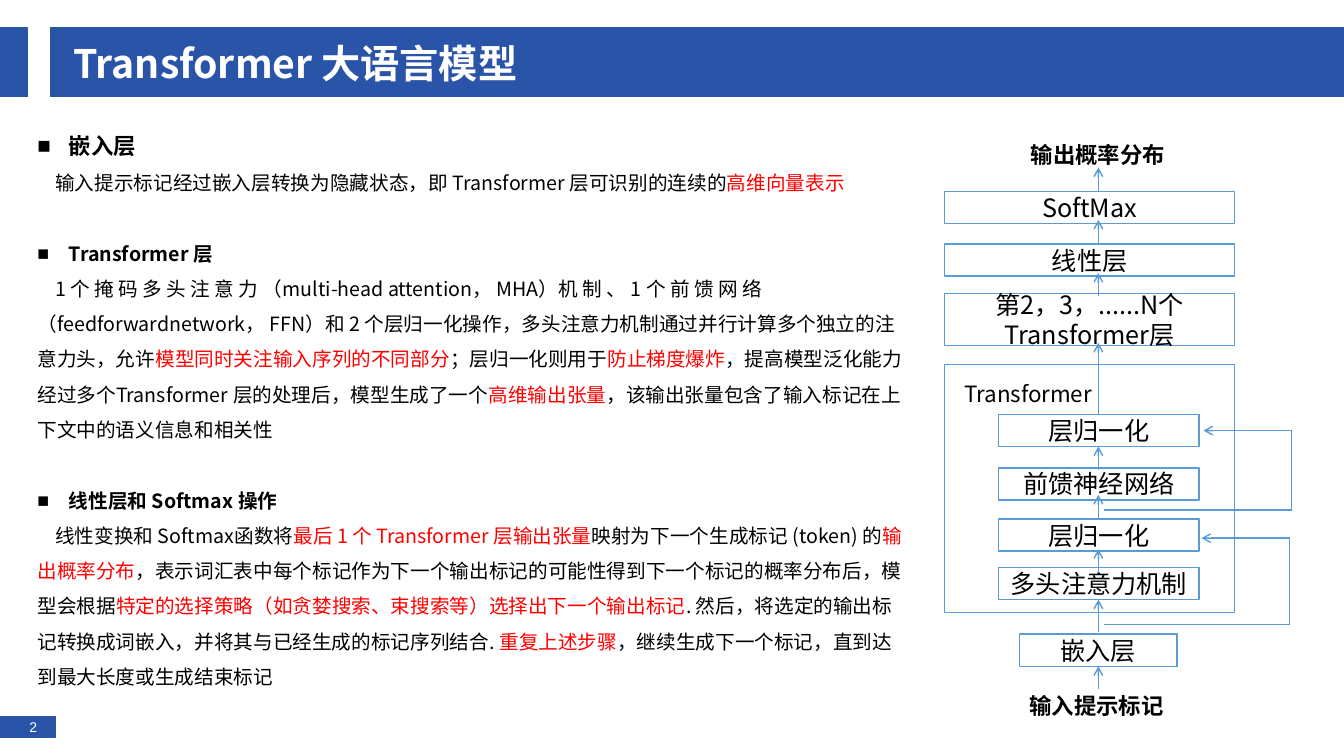
"""Build a slide that explains the layers of a Transformer language model."""
import lxml.etree
import pptx
import pptx.dml.color
import pptx.enum.shapes
import pptx.enum.text
import pptx.oxml.ns
import pptx.util

Cm = pptx.util.Cm
Pt = pptx.util.Pt
ALIGN = pptx.enum.text.PP_ALIGN
ANCHOR = pptx.enum.text.MSO_ANCHOR
BANNER, OUTLINE = "2A54A8", "5B9BD5"
BLACK, WHITE, RED = "000000", "FFFFFF", "FF0000"

SECTIONS = [
    ("嵌入层", 16, [
        ("输入提示标记经过嵌入层转换为隐藏状态，即 Transformer 层可识别的连续的", BLACK),
        ("高维向量表示", RED),
    ]),
    ("Transformer 层", 14, [
        ("1 个 掩 码 多 头 注 意 力 （multi-head attention， MHA）机 制 、 1 个 前 馈 网 络 "
         "（feedforwardnetwork， FFN）和 2 个层归一化操作，"
         "多头注意力机制通过并行计算多个独立的注意力头，允许", BLACK),
        ("模型同时关注输入序列的不同部分", RED),
        ("；层归一化则用于", BLACK),
        ("防止梯度爆炸", RED),
        ("，提高模型泛化能力经过多个Transformer 层的处理后，模型生成了一个", BLACK),
        ("高维输出张量", RED),
        ("，该输出张量包含了输入标记在上下文中的语义信息和相关性", BLACK),
    ]),
    ("线性层和 Softmax 操作", 14, [
        ("线性变换和 Softmax函数将", BLACK),
        ("最后 1 个 Transformer 层输出张量", RED),
        ("映射为下一个生成标记 (token) 的", BLACK),
        ("输出概率分布", RED),
        ("，表示词汇表中每个标记作为下一个输出标记的可能性"
         "得到下一个标记的概率分布后，模型会根据", BLACK),
        ("特定的选择策略（如贪婪搜索、束搜索等）选择出下一个输出标记", RED),
        (". 然后，将选定的输出标记转换成词嵌入，并将其与已经生成的标记序列结合. ", BLACK),
        ("重复上述步骤", RED),
        ("，继续生成下一个标记，直到达到最大长度或生成结束标记", BLACK),
    ]),
]


def color(hex_text):
    """Return the colour of a hex string."""
    return pptx.dml.color.RGBColor.from_string(hex_text)


def add_element(parent, tag, **attributes):
    """Append a DrawingML element to a parent."""
    return lxml.etree.SubElement(parent, pptx.oxml.ns.qn(tag), attributes)


class SlideBuilder:
    """Hold the style and the current slide."""

    font = "Noto Sans CJK SC"

    def __init__(self, presentation):
        """Add a slide with a title and a body."""
        self.slide = presentation.slides.add_slide(presentation.slide_layouts[1])

    def place(self, shape, left, top, width, height):
        """Move a shape to a place given in centimetres."""
        shape.left, shape.top = Cm(left), Cm(top)
        shape.width, shape.height = Cm(width), Cm(height)

    def run(self, paragraph, text, size, hex_text=BLACK, bold=False, font=None):
        """Add one formatted run."""
        run = paragraph.add_run()
        run.text = text
        run.font.size, run.font.bold = Pt(size), bold
        run.font.name = font or self.font
        run.font.color.rgb = color(hex_text)
        add_element(run._r.get_or_add_rPr(), "a:ea", typeface=self.font)

    def title(self, text, place):
        """Fill the title placeholder."""
        shape = self.slide.shapes.title
        self.place(shape, *place)
        frame = shape.text_frame
        frame.auto_size = pptx.enum.text.MSO_AUTO_SIZE.NONE
        frame.vertical_anchor = ANCHOR.MIDDLE
        frame.margin_left = frame.margin_right = Cm(0.33)
        frame.paragraphs[0].alignment = ALIGN.LEFT
        self.run(frame.paragraphs[0], text, 28, WHITE, True)

    def body_paragraph(self, paragraph, runs, size, heading, gap):
        """Format one heading or text paragraph of the body."""
        properties = paragraph._p.get_or_add_pPr()
        margin, indent = (0.79, -0.79) if heading else (0, 0.45)
        properties.set("marL", str(Cm(margin)))
        properties.set("indent", str(Cm(indent)))
        if heading:
            add_element(properties, "a:buFont", typeface="Arial")
            add_element(properties, "a:buChar", char="■")
        else:
            add_element(properties, "a:buNone")
        paragraph.alignment = ALIGN.LEFT
        paragraph.line_spacing = 1.5
        paragraph.space_before, paragraph.space_after = Pt(gap), Pt(0)
        for text, hex_text in runs:
            self.run(paragraph, text, size, hex_text, heading)

    def body(self, sections, place):
        """Fill the body placeholder with headed sections."""
        shape = self.slide.placeholders[1]
        self.place(shape, *place)
        frame = shape.text_frame
        frame.auto_size = pptx.enum.text.MSO_AUTO_SIZE.NONE
        frame.vertical_anchor = ANCHOR.TOP
        for index, (heading, size, runs) in enumerate(sections):
            paragraph = frame.add_paragraph() if index else frame.paragraphs[0]
            self.body_paragraph(paragraph, [(heading, BLACK)], size, True, 25.2 if index else 0)
            self.body_paragraph(frame.add_paragraph(), runs, 14, False, 0)

    def box(self, place, line, fill=None, text="", size=18, hex_text=BLACK, font=None):
        """Add a rectangle, with centred text if there is any."""
        shape = self.slide.shapes.add_shape(
            pptx.enum.shapes.MSO_SHAPE.RECTANGLE, *map(Cm, place))
        shape.shadow.inherit = False
        shape.line.color.rgb, shape.line.width = color(line), Pt(1)
        if fill:
            shape.fill.solid()
            shape.fill.fore_color.rgb = color(fill)
        else:
            shape.fill.background()
        if text:
            frame = shape.text_frame
            frame.word_wrap = True
            frame.vertical_anchor = ANCHOR.MIDDLE
            frame.margin_top = frame.margin_bottom = 0
            frame.paragraphs[0].alignment = ALIGN.CENTER
            self.run(frame.paragraphs[0], text, size, hex_text, font=font)

    def label(self, text, place, bold):
        """Add a text label."""
        frame = self.slide.shapes.add_textbox(*map(Cm, place)).text_frame
        frame.word_wrap = True
        self.run(frame.paragraphs[0], text, 16, bold=bold)

    def line(self, start, end, arrow=False):
        """Add a straight line, with an arrowhead if asked."""
        connector = self.slide.shapes.add_connector(
            pptx.enum.shapes.MSO_CONNECTOR.STRAIGHT, *map(Cm, start + end))
        connector.line.color.rgb, connector.line.width = color(OUTLINE), Pt(1)
        if arrow:
            add_element(connector.line._get_or_add_ln(), "a:tailEnd", type="arrow")
        add_element(connector._element.spPr, "a:effectLst")

    def skip_path(self, start_y, end_x, end_y, right):
        """Add a skip connection around the right side."""
        self.line((27.81, start_y), (right, start_y))
        self.line((right, start_y), (right, end_y))
        self.line((right, end_y), (end_x, end_y), True)


def main():
    """Draw the slide and save it."""
    presentation = pptx.Presentation()
    presentation.slide_width, presentation.slide_height = Cm(33.87), Cm(19.05)
    builder = SlideBuilder(presentation)

    for place in [(0, 18.06, 1.4, 0.53), (1.27, 0.71, 32.6, 1.73), (0, 0.71, 0.69, 1.73)]:
        builder.box(place, BANNER, BANNER)
    builder.box((0.28, 18.11, 1.12, 0.43), BANNER, BANNER, "2", 10, WHITE, "Arial")
    shapes = builder.slide.shapes
    for placeholder in list(builder.slide.placeholders):
        shapes._spTree.append(placeholder._element)
    builder.title("Transformer 大语言模型", (1.52, 0.71, 30.53, 1.73))
    builder.body(SECTIONS, (0.69, 2.87, 22.45, 15.75))

    builder.box((23.8, 9.19, 7.32, 6.25), OUTLINE)
    wide, inner, narrow = (23.8, 7.32), (25.17, 5.05), (25.7, 3.96)
    for text, (left, width), top, height in [
        ("SoftMax", wide, 4.83, 0.81),
        ("线性层", wide, 6.15, 0.81),
        ("第2，3，......N个Transformer层", wide, 7.39, 1.32),
        ("层归一化", inner, 10.44, 0.81),
        ("前馈神经网络", inner, 11.79, 0.81),
        ("层归一化", inner, 13.08, 0.81),
        ("多头注意力机制", inner, 14.3, 0.81),
        ("嵌入层", narrow, 15.98, 0.81),
    ]:
        builder.box((left, top, width, height), OUTLINE, text=text)

    builder.label("Transformer", (24.05, 9.45, 4.32, 0.71), False)
    builder.label("输入提示标记", (25.7, 17.32, 4.24, 0.94), True)
    builder.label("输出概率分布", (25.73, 3.43, 4.24, 0.94), True)

    for bottom, top in [(17.37, 16.79), (15.93, 15.11), (14.43, 13.84), (13.06, 12.47),
                        (11.84, 11.25), (10.44, 8.64), (7.47, 6.88), (6.12, 5.54),
                        (4.85, 4.22)]:
        builder.line((27.68, bottom), (27.68, top), True)
    builder.skip_path(15.74, 30.28, 13.56, 32.5)
    builder.skip_path(12.85, 30.33, 10.85, 32.55)
    presentation.save("out.pptx")


if __name__ == "__main__":
    main()
